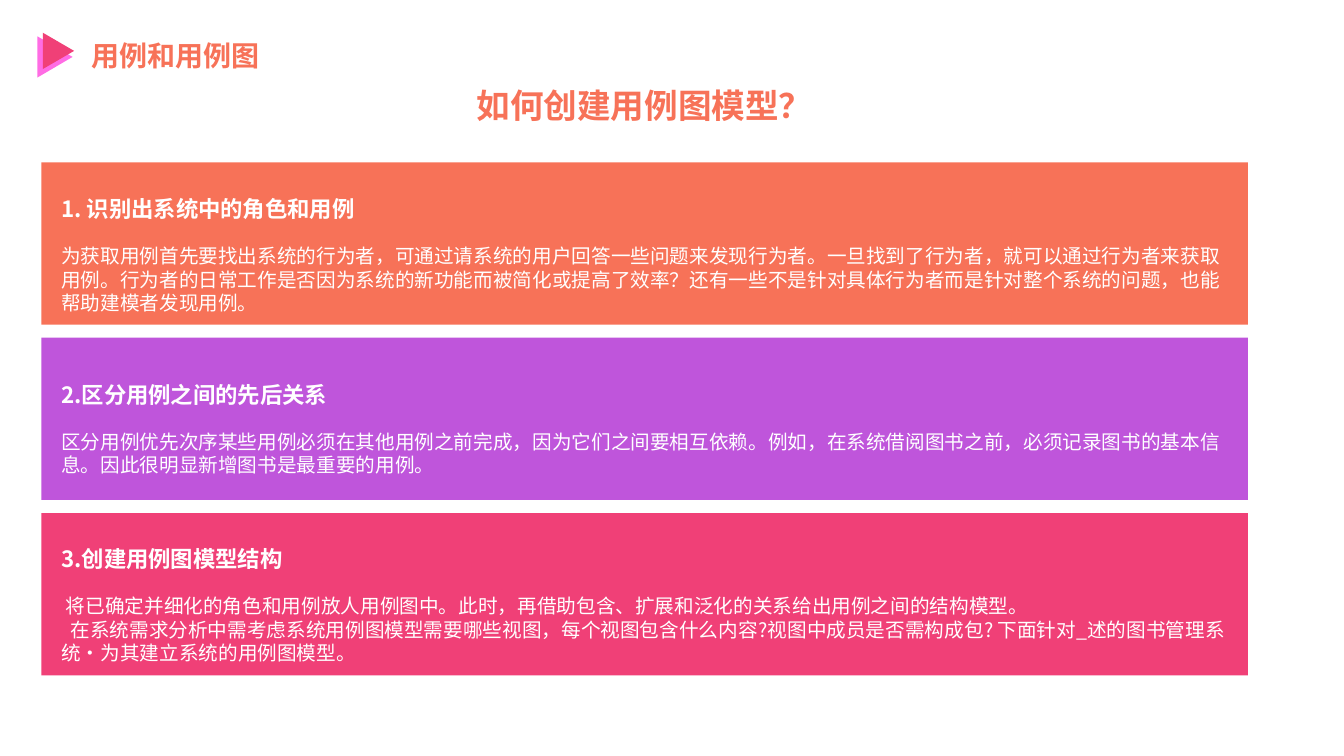
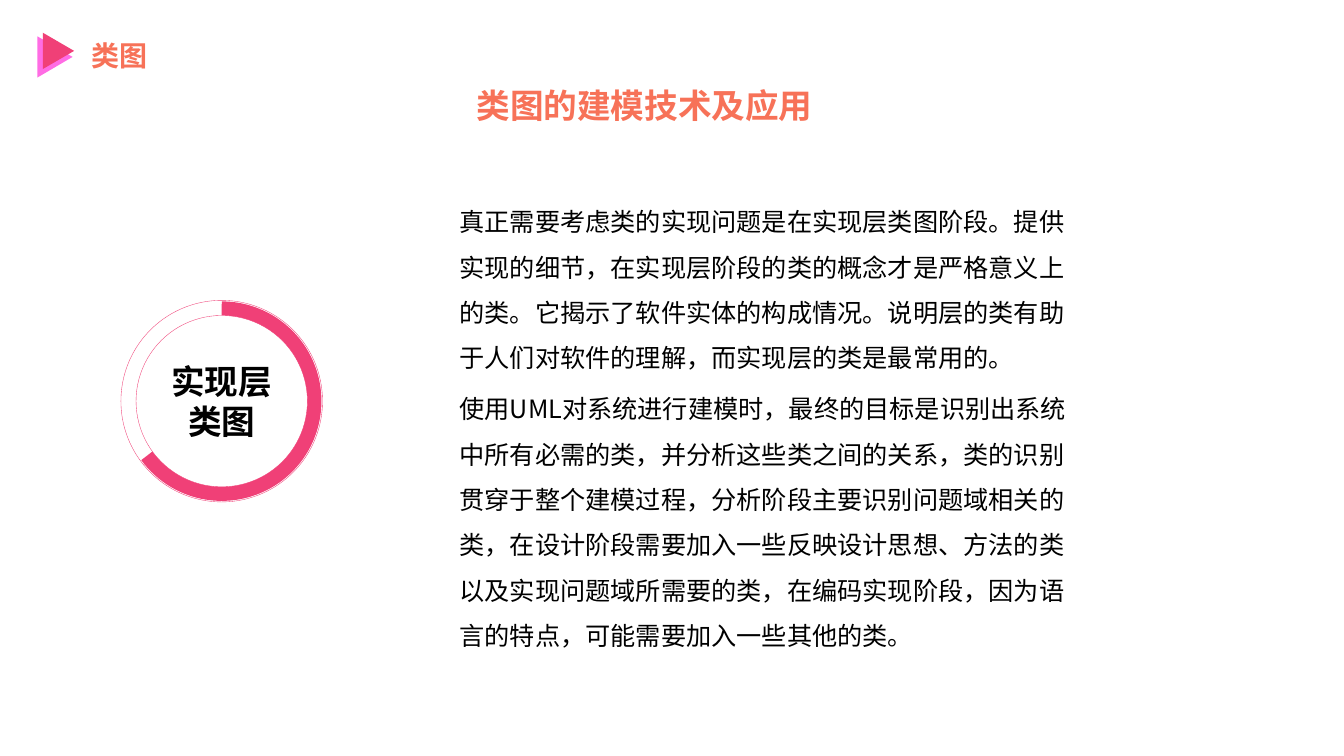
import dataclasses

import pptx
import pptx.dml.color
import pptx.enum.lang
import pptx.enum.shapes
import pptx.enum.text
import pptx.oxml.ns
import pptx.util
import lxml.etree

SHAPE = pptx.enum.shapes.MSO_SHAPE
ALIGN = pptx.enum.text.PP_ALIGN
ANCHOR = pptx.enum.text.MSO_ANCHOR


@dataclasses.dataclass(frozen=True)
class Theme:
    font: str = "Noto Sans CJK SC"
    coral: str = "F77258"
    purple: str = "BF55DB"
    pink: str = "F04077"
    magenta: str = "FF6CE4"
    white: str = "FFFFFF"
    black: str = "000000"
    title: int = 24
    section: int = 20
    reading: int = 18
    heading: int = 16
    body: int = 14


THEME = Theme()

# Grid of square cells, twelve to the inch
COLS, ROWS = 160, 90
CELL = pptx.util.Inches(1) / 12


def grid(*lengths):
    return [pptx.util.Emu(round(n * CELL)) for n in lengths]


def rgb(color):
    return pptx.dml.color.RGBColor.from_string(color)


def write(tf, paragraphs, size, color=THEME.black, bold=False, align=ALIGN.LEFT,
          line=None, gap=0, indents=()):
    """Fill a text frame; gap (points) separates paragraphs, indents are in cells."""
    tf.word_wrap = True
    for i, text in enumerate(paragraphs):
        p = tf.add_paragraph() if i else tf.paragraphs[0]
        p.alignment = align
        if line:
            p.line_spacing = line
        if i and gap:
            p.space_before = pptx.util.Pt(gap)
        if indents:
            p._p.get_or_add_pPr().set("indent", str(grid(indents[i])[0]))
        r = p.add_run()
        r.text = text
        r.font.size = pptx.util.Pt(size)
        r.font.bold = bold
        r.font.color.rgb = rgb(color)
        r.font.name = THEME.font
        r.font.language_id = pptx.enum.lang.MSO_LANGUAGE_ID.SIMPLIFIED_CHINESE
        # East Asian typeface
        ea = lxml.etree.SubElement(r._r.get_or_add_rPr(), pptx.oxml.ns.qn("a:ea"))
        ea.set("typeface", THEME.font)


class Deck:
    def __init__(self):
        self.prs = pptx.Presentation()
        self.prs.slide_width, self.prs.slide_height = grid(COLS, ROWS)
        self.s = None

    def slide(self, section, title):
        self.s = self.prs.slides.add_slide(self.prs.slide_layouts[6])
        self.text(9.72, 3.96, 26.64, 5.28, [section], THEME.section,
                  color=THEME.coral, bold=True)
        # Play mark: two overlapping triangles
        for box, color in (((4.08, 4.68, 4.92, 4.2), THEME.magenta),
                           ((4.8, 4.2, 4.32, 3.72), THEME.pink)):
            self.shape(SHAPE.ISOSCELES_TRIANGLE, *box, fill=color).rotation = 90
        self.text(53.52, 9.48, 46.44, 6, [title], THEME.title,
                  color=THEME.coral, bold=True, align=ALIGN.CENTER)

    def text(self, x, y, w, h, paragraphs, size, **style):
        box = self.s.shapes.add_textbox(*grid(x, y, w, h))
        write(box.text_frame, paragraphs, size, **style)

    def shape(self, kind, x, y, w, h, fill=None, line=None, weight=0.25):
        sp = self.s.shapes.add_shape(kind, *grid(x, y, w, h))
        sp.shadow.inherit = False
        if fill:
            sp.fill.solid()
            sp.fill.fore_color.rgb = rgb(fill)
        else:
            sp.fill.background()
        if line:
            sp.line.color.rgb = rgb(line)
            sp.line.width = pptx.util.Pt(weight)
        else:
            sp.line.fill.background()
        return sp

    def step(self, y, color, inset, heading, body, indents=()):
        """Coloured band with a heading and its explanation."""
        self.shape(SHAPE.RECTANGLE, 4.92, y, 143.64, 19.32, fill=color)
        self.text(6.12, y + inset, 45.12, 4.44, [heading], THEME.heading,
                  color=THEME.white, bold=True)
        self.text(6.12, y + inset + 5.8, 141.12, 9.72, body, THEME.body,
                  color=THEME.white, indents=indents)

    def ring(self, cx, cy, label):
        """Two thin circles, a thick arc between them and a label."""
        def circle(kind, d, **style):
            return self.shape(kind, cx - d / 2, cy - d / 2, d, d, line=THEME.pink, **style)

        circle(SHAPE.OVAL, 24)
        tf = circle(SHAPE.OVAL, 20.4).text_frame
        tf.margin_left = tf.margin_right = tf.margin_top = tf.margin_bottom = 0
        tf.vertical_anchor = ANCHOR.MIDDLE
        write(tf, [label], THEME.title, bold=True, align=ALIGN.CENTER)
        arc = circle(SHAPE.ARC, 22.08, weight=10)
        # Angles in 0.6 of a unit per degree: 270 to about 144 degrees
        arc.adjustments[0], arc.adjustments[1] = 162, 86.31


STEPS = [
    (THEME.coral, 3.36, "1. 识别出系统中的角色和用例",
     ["为获取用例首先要找出系统的行为者，可通过请系统的用户回答一些问题来发现行为者。"
      "一旦找到了行为者，就可以通过行为者来获取用例。行为者的日常工作是否因为系统的新功能"
      "而被简化或提高了效率？还有一些不是针对具体行为者而是针对整个系统的问题，"
      "也能帮助建模者发现用例。"]),
    (THEME.purple, 4.56, "2.区分用例之间的先后关系",
     ["区分用例优先次序某些用例必须在其他用例之前完成，因为它们之间要相互依赖。例如，"
      "在系统借阅图书之前，必须记录图书的基本信息。因此很明显新增图书是最重要的用例。"]),
    (THEME.pink, 3.24, "3.创建用例图模型结构",
     ["将已确定并细化的角色和用例放人用例图中。此时，再借助包含、扩展和泛化的关系给出"
      "用例之间的结构模型。",
      "在系统需求分析中需考虑系统用例图模型需要哪些视图，每个视图包含什么内容?"
      "视图中成员是否需构成包? 下面针对_述的图书管理系统·为其建立系统的用例图模型。"],
     (0.55, 1.1)),
]

CLASS_NOTES = [
    "真正需要考虑类的实现问题是在实现层类图阶段。提供实现的细节，在实现层阶段的类的概念"
    "才是严格意义上的类。它揭示了软件实体的构成情况。说明层的类有助于人们对软件的理解，"
    "而实现层的类是最常用的。",
    "使用UML对系统进行建模时，最终的目标是识别出系统中所有必需的类，并分析这些类之间的"
    "关系，类的识别贯穿于整个建模过程，分析阶段主要识别问题域相关的类，在设计阶段需要"
    "加入一些反映设计思想、方法的类以及实现问题域所需要的类，在编码实现阶段，"
    "因为语言的特点，可能需要加入一些其他的类。",
]


def main():
    deck = Deck()

    # Use case steps, evenly stacked
    deck.slide("用例和用例图", "如何创建用例图模型？")
    for i, step in enumerate(STEPS):
        deck.step(19.32 + i * 20.88, *step)

    # Implementation-level class diagram
    deck.slide("类图", "类图的建模技术及应用")
    deck.ring(26.4, 47.76, "实现层类图")
    deck.text(53.52, 22.2, 76.68, 56.52, CLASS_NOTES, THEME.reading, line=1.5, gap=4)

    deck.prs.save("out.pptx")


if __name__ == "__main__":
    main()
